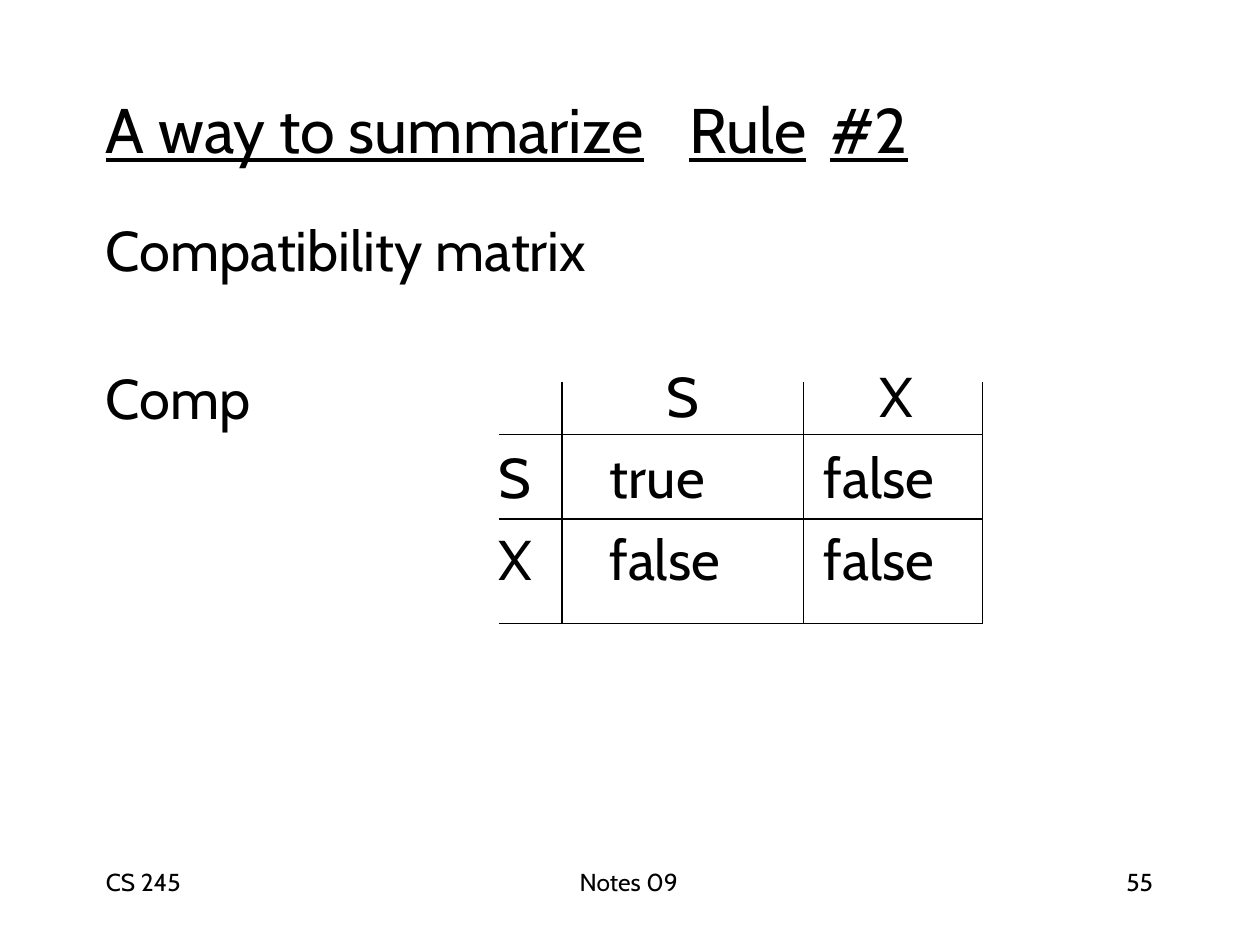
from dataclasses import dataclass

from lxml.etree import SubElement
from pptx import Presentation
from pptx.dml.color import RGBColor
from pptx.enum.text import MSO_ANCHOR as Anchor, MSO_AUTO_SIZE as AutoSize, PP_ALIGN as Align
from pptx.oxml import parse_xml
from pptx.oxml.ns import nsdecls, qn
from pptx.util import Inches, Pt


@dataclass(frozen=True)
class Theme:
    """Colours, font and type sizes of the slide."""
    font: str = "Cabin"
    ink: str = "000000"
    paper: str = "FFFFFF"
    title: int = 36
    body: int = 32
    footer: int = 14


THEME = Theme()
COLUMNS, ROWS = 100, 75
UNIT = Inches(0.1)
TITLE_TABS = (46.3, 57.5)
MATRIX_COLUMNS = (5, 19.2, 14.2)
MATRIX_ROWS = (4.2, 6.7, 8.3)
RULES = (0, 1, 0.75, 0.75)
MATRIX = (("", "S", "X"), ("S", "true", "false"), ("X", "false", "false"))
HEADER_INSETS = (0, 0, 0.5)
VALUE_INSETS = (0, 3.8, 1.6)
TOP_INSETS = (0, 0.8, 0.6)


def grid(*cells):
    """Turn grid counts into slide lengths."""
    return [round(cell * UNIT) for cell in cells]


def write(paragraph, text, size=THEME.body, underline=None, align=Align.LEFT,
          before=0, line=None, tabs=()):
    """Put formatted text into a paragraph."""
    if tabs:
        stops = SubElement(paragraph._p.get_or_add_pPr(), qn("a:tabLst"))
        for stop in grid(*tabs):
            SubElement(stops, qn("a:tab"), pos=str(stop), algn="l")
    run = paragraph.add_run()
    run.text = text
    run.font.name, run.font.size = THEME.font, Pt(size)
    run.font.underline = underline
    run.font.color.rgb = RGBColor.from_string(THEME.ink)
    paragraph.alignment = align
    paragraph.space_before = Pt(before)
    if line:
        paragraph.line_spacing = Pt(line)


def prepare(frame):
    """Give a text frame tight margins and top alignment."""
    frame.margin_left = frame.margin_right = frame.margin_bottom = 0
    frame.margin_top = Inches(0.01)
    frame.vertical_anchor = Anchor.TOP
    frame.word_wrap = True
    frame.auto_size = AutoSize.NONE


def add_title(slide, text, area):
    """Place and format the title placeholder."""
    title = slide.shapes.title
    title.left, title.top, title.width, title.height = grid(*area)
    prepare(title.text_frame)
    write(title.text_frame.paragraphs[0], text, size=THEME.title,
          underline=True, tabs=TITLE_TABS)


def add_text(slide, lines, area, gap=0, **style):
    """Add a text box with a gap between its paragraphs."""
    frame = slide.shapes.add_textbox(*grid(*area)).text_frame
    prepare(frame)
    for index, line in enumerate(lines):
        paragraph = frame.add_paragraph() if index else frame.paragraphs[0]
        write(paragraph, line, before=gap if index else 0, **style)


def rule_cell(cell, widths):
    """Draw the left, right, top and bottom cell borders."""
    properties = cell._tc.get_or_add_tcPr()
    for index, (side, width) in enumerate(zip("LRTB", widths)):
        paint = f'<a:solidFill><a:srgbClr val="{THEME.ink}"/></a:solidFill>' if width else "<a:noFill/>"
        properties.insert(index, parse_xml(
            f'<a:ln{side} {nsdecls("a")} w="{Pt(width)}">{paint}</a:ln{side}>'))


def add_matrix(slide, left, top):
    """Add the compatibility matrix as a ruled table."""
    area = grid(left, top, sum(MATRIX_COLUMNS), sum(MATRIX_ROWS))
    table = slide.shapes.add_table(len(MATRIX), len(MATRIX[0]), *area).table
    table.first_row = table.horz_banding = False
    for column, width in zip(table.columns, grid(*MATRIX_COLUMNS)):
        column.width = width
    for row, height in zip(table.rows, grid(*MATRIX_ROWS)):
        row.height = height
    for r, labels in enumerate(MATRIX):
        for c, label in enumerate(labels):
            cell = table.cell(r, c)
            cell.fill.background()
            insets = VALUE_INSETS if r else HEADER_INSETS
            cell.margin_left, cell.margin_top = grid(insets[c], TOP_INSETS[r])
            cell.margin_right = cell.margin_bottom = 0
            rule_cell(cell, (RULES[c], RULES[c + 1], RULES[r], RULES[r + 1]))
            if label:
                write(cell.text_frame.paragraphs[0], label,
                      align=Align.LEFT if r else Align.CENTER,
                      line=None if r else 28.4)


def main():
    """Build and save the slide."""
    deck = Presentation()
    deck.slide_width, deck.slide_height = grid(COLUMNS, ROWS)
    slide = deck.slides.add_slide(deck.slide_layouts[5])
    slide.background.fill.solid()
    slide.background.fill.fore_color.rgb = RGBColor.from_string(THEME.paper)
    add_title(slide, "A way to summarize\tRule\t#2", (8.4, 7.1, 64, 6.3))
    for text, left, width in (("CS 245", 8.4, 6.3), ("Notes 09", 46, 7.9), ("55", 89.4, 2.5)):
        add_text(slide, [text], (left, 68.7, width, 2.6), size=THEME.footer)
    add_text(slide, ["Compatibility matrix", "Comp"], (8.4, 17, 39.3, 17.3), gap=46)
    add_matrix(slide, 39.6, 30.3)
    deck.save("out.pptx")


if __name__ == "__main__":
    main()
